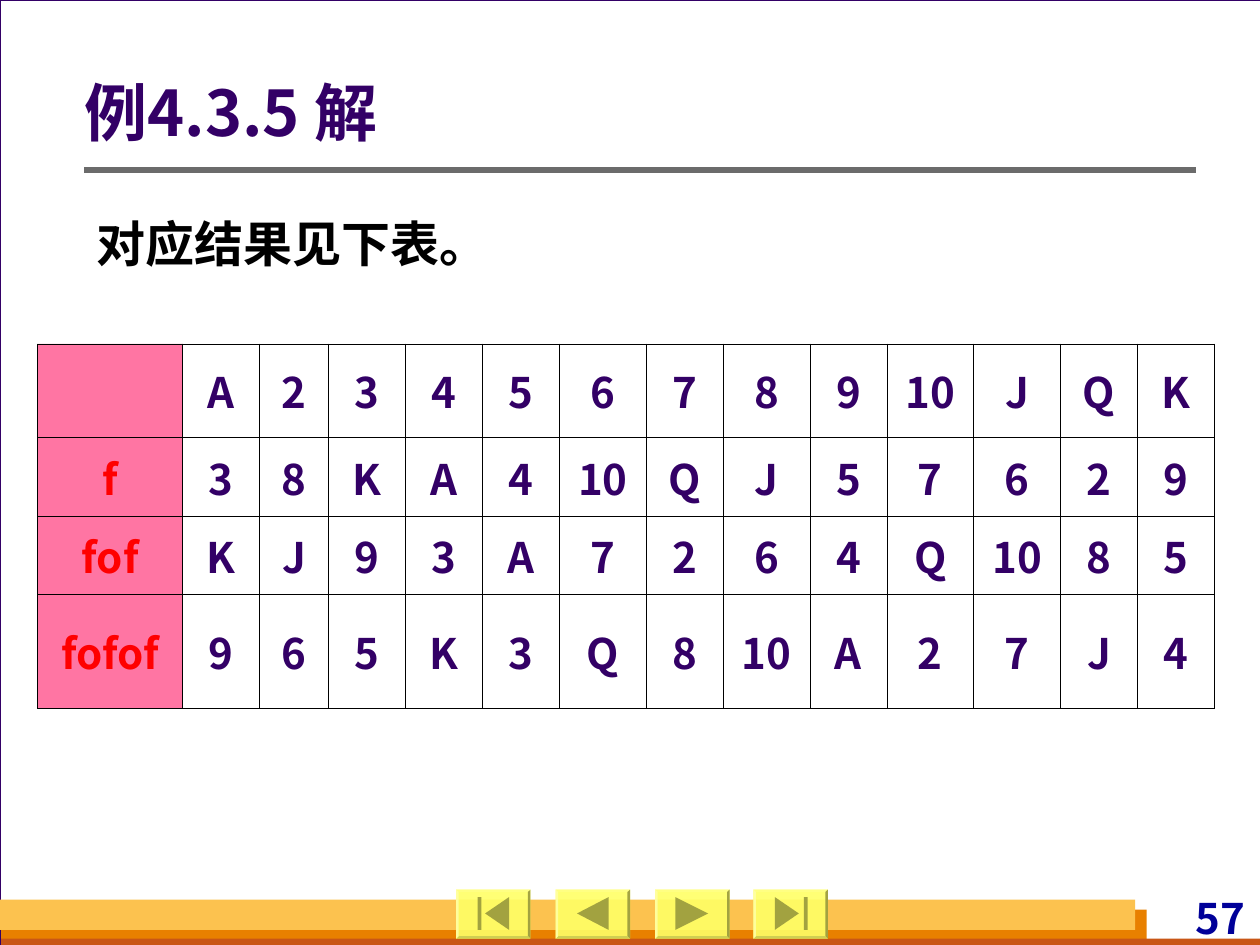
from lxml import etree
from pptx import Presentation
from pptx import util as u
from pptx.dml import color
from pptx.enum import shapes, text
from pptx.oxml import ns

COLS, ROWS = 1000, 750
STEP = u.Inches(10) // COLS
FONT = "Noto Sans CJK SC"
INK, RED, ROSE, GOLD = "330066", "FF0000", "FF6699", "FFFF66"
MID, TOP = text.MSO_ANCHOR.MIDDLE, text.MSO_ANCHOR.TOP
LEFT, RIGHT = text.PP_ALIGN.LEFT, text.PP_ALIGN.RIGHT

GRID = [
    ["", *"A23456789", "10", *"JQK"],
    ["f", *"38KA4", "10", *"QJ57629"],
    ["fof", *"KJ93A7264Q", "10", *"85"],
    ["fofof", *"965K3Q8", "10", *"A27J4"],
]
WIDE = [115, 61, 55, 61, 61, 61, 69, 61, 69, 61, 69, 69, 61, 61]
HIGH = [74, 63, 62, 90]
ICONS = {
    441: [[(17, 19), (42, 6), (42, 32)]],
    520: [[(16, 6), (42, 19), (16, 32)]],
    362: [[(23, 19), (42, 6), (42, 32)],
          [(17, 6), (20, 6), (20, 32), (17, 32)]],
    598: [[(36, 19), (17, 32), (17, 6)],
          [(40, 6), (40, 32), (43, 32), (43, 6)]],
}


def rgb(code):
    return color.RGBColor.from_string(code)


def grid(*vals):
    return [v * STEP for v in vals]


def paint(fill, code, alpha=None):
    fill.solid()
    fill.fore_color.rgb = rgb(code)
    if alpha:
        tint = fill._xPr.find(".//" + ns.qn("a:srgbClr"))
        etree.SubElement(tint, ns.qn("a:alpha"), val=str(alpha * 1000))


def style(par, size, code, align):
    par.alignment = align
    font = par.font
    font.size, font.bold, font.name = u.Pt(size), True, FONT
    font.color.rgb = rgb(code)
    etree.SubElement(font._element, ns.qn("a:ea"), typeface=FONT)


def add_bar(slide, box, code, edge=None):
    bar = slide.shapes.add_shape(shapes.MSO_SHAPE.RECTANGLE, *grid(*box))
    bar.shadow.inherit = False
    paint(bar.fill, code)
    if edge:
        bar.line.color.rgb = rgb(edge)
        bar.line.width = u.Pt(0.74)
    else:
        bar.line.fill.background()


def add_rule(slide, ends, code, width):
    rule = slide.shapes.add_connector(
        shapes.MSO_CONNECTOR.STRAIGHT, *grid(*ends))
    rule.line.color.rgb = rgb(code)
    rule.line.width = u.Pt(width)
    etree.SubElement(rule._element.spPr, ns.qn("a:effectLst"))


def add_text(slide, box, words, size, code, align=LEFT, anchor=TOP,
             pad=(10, 5, 10, 5), lead=None, above=None):
    frame = slide.shapes.add_textbox(*grid(*box)).text_frame
    frame.word_wrap = True
    frame.vertical_anchor = anchor
    (frame.margin_left, frame.margin_top,
     frame.margin_right, frame.margin_bottom) = grid(*pad)
    par = frame.paragraphs[0]
    par.text = words
    style(par, size, code, align)
    if lead:
        par.line_spacing = lead
    if above:
        par.space_before = u.Pt(above)


def add_button(slide, left, top, icon):
    w, h, rim = 59, 39, 2
    outer = [(0, 0), (w, 0), (w, h), (0, h)]
    inner = [(rim, rim), (w - rim, rim), (w - rim, h - rim), (rim, h - rim)]
    sides = [[outer[i], outer[(i + 1) % 4], inner[(i + 1) % 4], inner[i]]
             for i in range(4)]
    tones = ["norm", "lightenLess", "darken", "darkenLess", "lighten"]
    tones += ["darken"] * len(icon)
    pen = slide.shapes.build_freeform(0, 0, scale=STEP)
    for start, *rest in [*sides, *icon]:
        pen.move_to(*start)
        pen.add_line_segments(rest, close=True)
    pen._start_x, pen._start_y = 0, 0
    pen.add_line_segments([])
    shape = pen.convert_to_shape(*grid(left, top))
    shape.shadow.inherit = False
    paint(shape.fill, GOLD, 90)
    shape.line.fill.background()
    shade(shape, [outer, *sides, *icon], tones)


def shade(shape, loops, tones):
    paths = shape._element.spPr.find(".//" + ns.qn("a:pathLst"))
    for old in list(paths):
        paths.remove(old)
    for loop, tone in zip(loops, tones):
        track = etree.SubElement(paths, ns.qn("a:path"), w="59", h="39",
                                 fill=tone)
        for i, (x, y) in enumerate(loop):
            verb = etree.SubElement(
                track, ns.qn("a:lnTo" if i else "a:moveTo"))
            etree.SubElement(verb, ns.qn("a:pt"), x=str(x), y=str(y))
        etree.SubElement(track, ns.qn("a:close"))


def add_edges(cell):
    props = cell._tc.get_or_add_tcPr()
    for i, side in enumerate(["lnL", "lnR", "lnT", "lnB"]):
        edge = etree.Element(ns.qn("a:" + side), w=str(u.Pt(0.45)))
        fill = etree.SubElement(edge, ns.qn("a:solidFill"))
        etree.SubElement(fill, ns.qn("a:srgbClr"), val="000000")
        props.insert(i, edge)


def add_grid(slide, left, top):
    table = slide.shapes.add_table(
        len(GRID), len(WIDE), *grid(left, top, sum(WIDE), sum(HIGH))).table
    table.first_row = table.horz_banding = False
    for col, wide in zip(table.columns, WIDE):
        col.width = wide * STEP
    for r, line in enumerate(GRID):
        table.rows[r].height = HIGH[r] * STEP
        for c, word in enumerate(line):
            cell = table.cell(r, c)
            cell.vertical_anchor = MID
            if c:
                cell.fill.background()
            else:
                paint(cell.fill, ROSE, 90)
            add_edges(cell)
            if word:
                cell.text = word
                style(cell.text_frame.paragraphs[0], 24,
                      INK if c else RED, text.PP_ALIGN.CENTER)


def main():
    deck = Presentation()
    deck.slide_width, deck.slide_height = grid(COLS, ROWS)
    slide = deck.slides.add_slide(deck.slide_layouts[6])
    paint(slide.background.fill, "D8DADA")
    add_bar(slide, (0, 0, 1001, 750), "FFFFFF", INK)
    add_bar(slide, (1, 722, 909, 28), "E88000")
    add_bar(slide, (1, 745, 1000, 8), "C95616")
    add_bar(slide, (0, 714, 901, 24), "FCC24F")
    add_text(slide, (847, 708, 145, 40), "57", 24, "000099", RIGHT,
             pad=(4, 0, 4, 0), above=15)
    add_rule(slide, (67, 135, 949, 135), "6B6B6B", 3)
    for left, icon in ICONS.items():
        add_button(slide, left, 706, icon)
    add_text(slide, (67, 60, 882, 64), "例4.3.5 解", 36, INK,
             anchor=MID, pad=(0, 5, 10, 5), lead=0.9)
    add_text(slide, (67, 155, 882, 66), "对应结果见下表。", 28, "000000",
             text.PP_ALIGN.JUSTIFY, lead=1.2)
    add_grid(slide, 30, 273)
    deck.save("out.pptx")


main()
